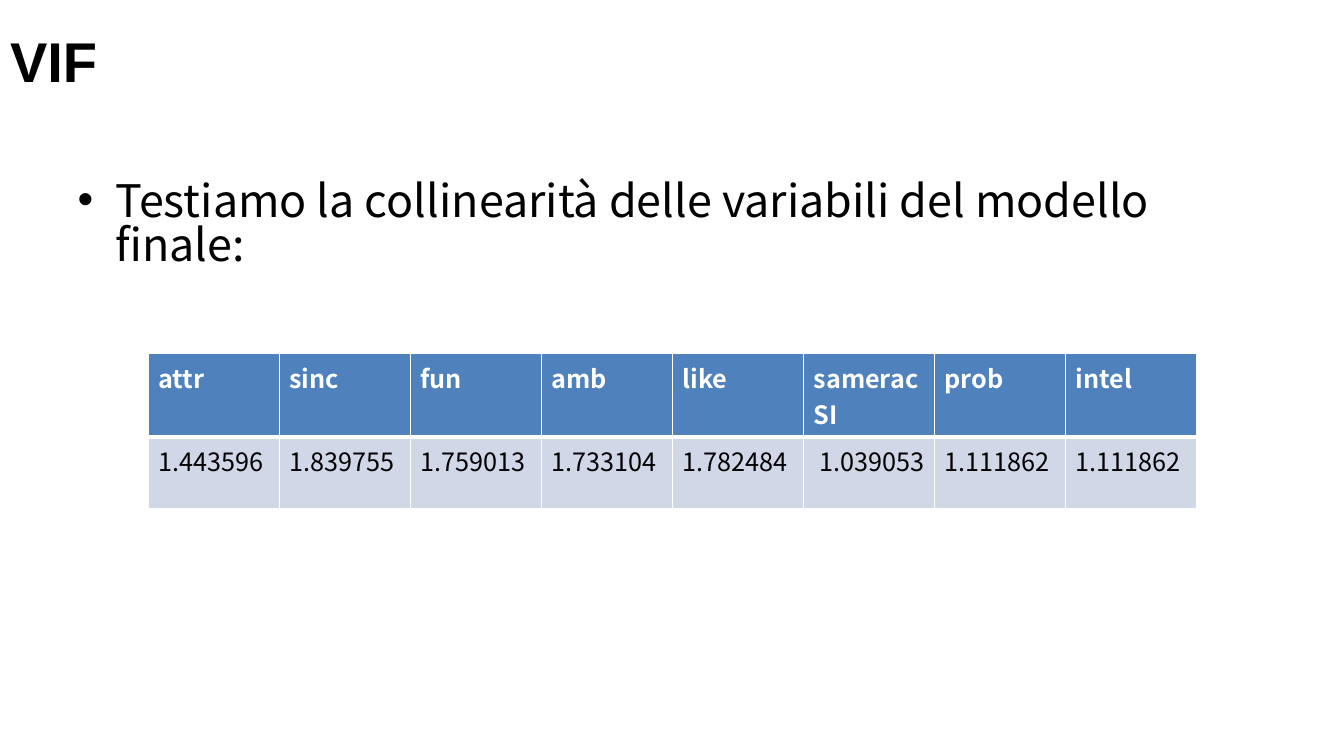
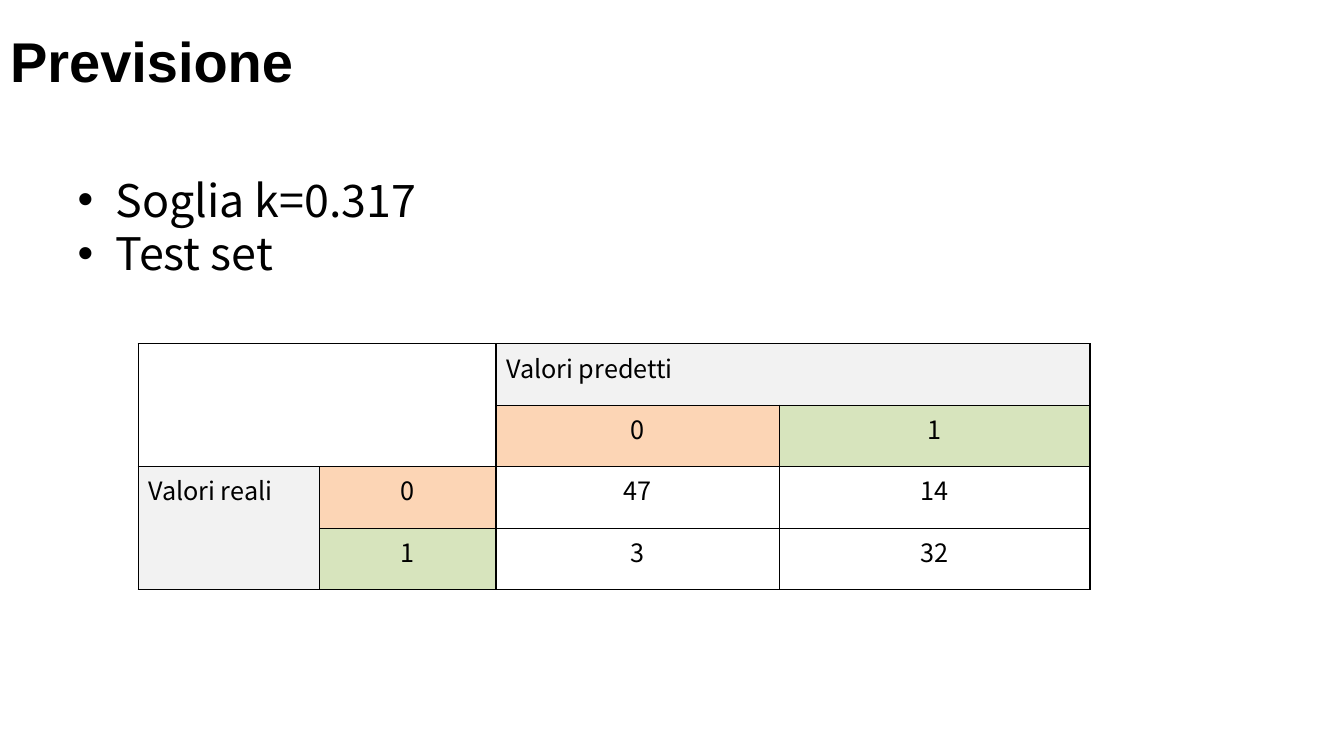
from lxml import etree
from pptx import Presentation
from pptx.dml.color import RGBColor
from pptx.enum.text import MSO_ANCHOR, MSO_AUTO_SIZE, PP_ALIGN
from pptx.oxml.ns import qn
from pptx.util import Inches, Pt

LEFT, CENTER = PP_ALIGN.LEFT, PP_ALIGN.CENTER
MIDDLE = MSO_ANCHOR.MIDDLE
NO_FIT = MSO_AUTO_SIZE.NONE

TITLE_FONT, BODY_FONT = "Arial", "Noto Sans CJK KR"
BLACK, WHITE = "000000", "FFFFFF"
BLUE, PALE_BLUE = "4F81BD", "D0D8E8"
GREY, ORANGE, GREEN = "F2F2F2", "FCD5B5", "D7E4BD"
TITLE_BOX = (0, 0.02, 13.33, 1.15)
BODY_BOX = (0.67, 1.75, 12, 4.95)

VIF = [("attr", "1.443596"), ("sinc", "1.839755"), ("fun", "1.759013"),
       ("amb", "1.733104"), ("like", "1.782484"), ("sameracSI", " 1.039053"),
       ("prob", "1.111862"), ("intel", "1.111862")]

CONFUSION = [
    [("", None), ("", None), ("Valori predetti", GREY), ("", GREY)],
    [("", None), ("", None), ("0", ORANGE), ("1", GREEN)],
    [("Valori reali", GREY), ("0", ORANGE), ("47", None), ("14", None)],
    [("", GREY), ("1", GREEN), ("3", None), ("32", None)],
]
CONFUSION_SPANS = [((0, 0), (1, 1)), ((0, 2), (0, 3)), ((2, 0), (3, 0))]


def rgb(color):
    return RGBColor.from_string(color)


def add_run(p, text, size, font=BODY_FONT, color=BLACK, bold=False):
    r = p.add_run()
    r.text = text
    r.font.size = Pt(size)
    r.font.name = font
    r.font.bold = bold
    r.font.color.rgb = rgb(color)


def place(sp, box):
    sp.left, sp.top, sp.width, sp.height = map(Inches, box)
    sp.text_frame.auto_size = NO_FIT
    return sp.text_frame


def add_slide(prs, title, bullets):
    s = prs.slides.add_slide(prs.slide_layouts[1])
    tf = place(s.shapes.title, TITLE_BOX)
    tf.vertical_anchor = MIDDLE
    tf.paragraphs[0].alignment = LEFT
    add_run(tf.paragraphs[0], title, 40, TITLE_FONT, bold=True)
    tf = place(s.placeholders[1], BODY_BOX)
    for i, text in enumerate(bullets):
        p = tf.add_paragraph() if i else tf.paragraphs[0]
        p.line_spacing = 0.83
        add_run(p, text, 32)
    return s


def set_borders(cell, color, left=1, right=1, top=1, bottom=1):
    tc_pr = cell._tc.get_or_add_tcPr()
    for side, width in zip("LRTB", (left, right, top, bottom)):
        ln = etree.SubElement(tc_pr, qn(f"a:ln{side}"), w=str(Pt(width)))
        fill = etree.SubElement(ln, qn("a:solidFill"))
        etree.SubElement(fill, qn("a:srgbClr"), val=color)


def add_table(s, left, top, col_widths, row_heights):
    box = (left, top, sum(col_widths), sum(row_heights))
    table = s.shapes.add_table(len(row_heights), len(col_widths),
                               *map(Inches, box)).table
    table.first_row = table.horz_banding = False
    for column, width in zip(table.columns, col_widths):
        column.width = Inches(width)
    for row, height in zip(table.rows, row_heights):
        row.height = Inches(height)
    return table


def fill_cell(cell, text, fill, align=LEFT, color=BLACK, bold=False):
    if fill:
        cell.fill.solid()
        cell.fill.fore_color.rgb = rgb(fill)
    else:
        cell.fill.background()
    if text:
        p = cell.text_frame.paragraphs[0]
        p.alignment = align
        add_run(p, text, 18, color=color, bold=bold)


def add_vif_table(s, left, top):
    table = add_table(s, left, top, [1.3] * len(VIF), [0.71] * 2)
    for c, (name, value) in enumerate(VIF):
        head, body = table.cell(0, c), table.cell(1, c)
        set_borders(head, WHITE, bottom=3)
        set_borders(body, WHITE, top=3)
        fill_cell(head, name, BLUE, color=WHITE, bold=True)
        fill_cell(body, value, PALE_BLUE)


def add_confusion_table(s, left, top):
    table = add_table(s, left, top, [1.8, 1.75, 2.81, 3.08], [0.61] * 4)
    for r, row in enumerate(CONFUSION):
        for c, (text, fill) in enumerate(row):
            cell = table.cell(r, c)
            set_borders(cell, BLACK)
            fill_cell(cell, text, fill, CENTER if text.isdigit() else LEFT)
    for first, last in CONFUSION_SPANS:
        table.cell(*first).merge(table.cell(*last))


def main():
    prs = Presentation()
    prs.slide_width, prs.slide_height = Inches(13.33), Inches(7.5)
    s = add_slide(prs, "VIF", [
        "Testiamo la collinearità delle variabili del modello finale:"])
    add_vif_table(s, 1.47, 3.51)
    s = add_slide(prs, "Previsione", ["Soglia k=0.317", "Test set"])
    add_confusion_table(s, 1.37, 3.41)
    prs.save("out.pptx")


if __name__ == "__main__":
    main()
